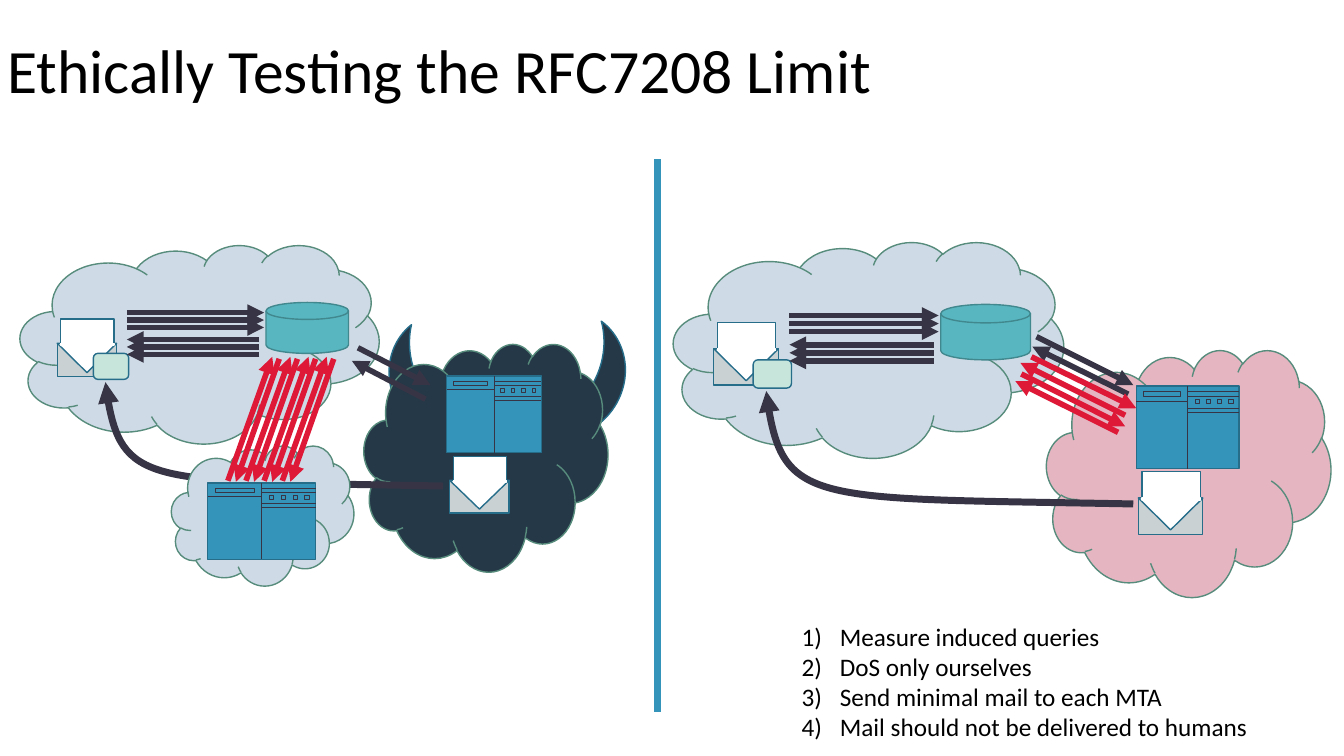
from dataclasses import dataclass

import pptx
import pptx.dml.color
import pptx.enum.shapes
import pptx.enum.text
import pptx.oxml.ns
import pptx.util
from lxml import etree

Inches = pptx.util.Inches
Pt = pptx.util.Pt
KIND = pptx.enum.shapes.MSO_SHAPE
qn = pptx.oxml.ns.qn

COLORS = {
    "text": "000000", "ink": "373545", "attack": "DE1938", "accent": "3494BA",
    "edge": "266D8A", "cloud_edge": "578C7C", "network": "CEDBE6",
    "evil": "253848", "ourselves": "E5B6C2", "envelope": "CAD1D2",
    "paper": "FFFFFF", "badge": "C8E5DC", "resolver": "58B6C0",
    "resolver_edge": "41878E",
}


def color(name):
    return pptx.dml.color.RGBColor.from_string(COLORS[name])


@dataclass
class Box:
    """An origin in inches and the length of one local unit each way."""
    left: float
    top: float
    x_unit: float = 1
    y_unit: float = 1

    def point(self, x, y):
        return Inches(self.left + x * self.x_unit), Inches(self.top + y * self.y_unit)

    def inner(self, x, y, width, height):
        return Box(self.left + x * self.x_unit, self.top + y * self.y_unit,
                   width * self.x_unit, height * self.y_unit)


# Drawing helpers
def draw(shapes, kind, box, fill, edge="edge", width=1, rotation=0):
    shape = shapes.add_shape(kind, *box.point(0, 0), Inches(box.x_unit), Inches(box.y_unit))
    shape.shadow.inherit = False
    shape.fill.solid()
    shape.fill.fore_color.rgb = color(fill)
    shape.line.color.rgb = color(edge)
    shape.line.width = Pt(width)
    shape.rotation = rotation


def style_line(line, name, width, arrow):
    line.color.rgb = color(name)
    line.width = Pt(width)
    if arrow:
        etree.SubElement(line._get_or_add_ln(), qn("a:tailEnd"), type="triangle")


def connect(shapes, box, start, end, name="ink", width=4, arrow=True):
    connector = shapes.add_connector(pptx.enum.shapes.MSO_CONNECTOR.STRAIGHT,
                                     *box.point(*start), *box.point(*end))
    style_line(connector.line, name, width, arrow)
    etree.SubElement(connector._element.spPr, qn("a:effectLst"))


def draw_mail_route(shapes, box):
    """Curved arrow from the sender's mail to the receiving mail server."""
    start, *others = [box.point(*p) for p in
                      [(4.56, 2.6), (1.48, 2.54), (1.05, 2.63), (0.92, 1.48)]]
    builder = shapes.build_freeform(*start)
    builder.add_line_segments(others, close=False)
    route = builder.convert_to_shape()
    segments = list(route._element.iter(qn("a:lnTo")))
    curve = etree.SubElement(segments[0].getparent(), qn("a:cubicBezTo"))
    for segment in segments:
        curve.append(segment[0])
        segment.getparent().remove(segment)
    route.shadow.inherit = False
    route.fill.background()
    style_line(route.line, "ink", 5, True)


# Pictograms, in fractions of their box
def draw_envelope(shapes, box):
    draw(shapes, KIND.RECTANGLE, box.inner(0, 0.42, 1, 0.58), "envelope")
    draw(shapes, KIND.ISOSCELES_TRIANGLE, box.inner(0, 0.42, 1, 0.51), "paper", rotation=180)
    draw(shapes, KIND.RECTANGLE, box.inner(0.06, 0, 0.9, 0.43), "paper")
    draw(shapes, KIND.RECTANGLE, box.inner(0.06, 0.42, 0.9, 0.03), "paper", "paper")


def draw_server(shapes, box):
    draw(shapes, KIND.RECTANGLE, box, "accent")
    seams = [((0.5, 0), (0.5, 1)), ((0, 0.18), (0.5, 0.18))]
    seams += [((0.5, y), (1, y)) for y in (0.07, 0.12, 0.27, 0.32)]
    for start, end in seams:
        connect(shapes, box, start, end, width=0.5, arrow=False)
    slots = [(0.07, 0.07, 0.36, 0.05)]
    slots += [(0.57 + 0.11 * i, 0.16, 0.04, 0.05) for i in range(4)]
    for slot in slots:
        draw(shapes, KIND.RECTANGLE, box.inner(*slot), "accent", "ink", 0.5)


def draw_receiver(shapes, box):
    """Cloud holding the mail server, its resolver and the lookups between them."""
    draw(shapes, KIND.CLOUD, box.inner(0, 0, 3.87, 2.14), "network", "cloud_edge")
    draw_envelope(shapes, box.inner(0.4, 0.8, 0.64, 0.62))
    draw(shapes, KIND.ROUNDED_RECTANGLE, box.inner(0.79, 1.17, 0.38, 0.28), "badge")
    draw(shapes, KIND.FLOWCHART_MAGNETIC_DISK, box.inner(2.65, 0.62, 0.89, 0.55),
         "resolver", "resolver_edge")
    for i in range(3):
        query, reply = 0.73 + 0.08 * i, 1.02 + 0.08 * i
        connect(shapes, box, (1.15, query), (2.63, query))
        connect(shapes, box, (2.58, reply), (1.15, reply))


# The two halves, in inches from the corner of each half
def draw_attack(shapes, box):
    receiver = box.inner(0, 0, 0.92, 0.92)
    draw_receiver(shapes, receiver)
    for horn_left, horn_top, angle in [(3.74, 0.84, 321.7), (5.32, 0.81, 216.3)]:
        draw(shapes, KIND.MOON, box.inner(horn_left, horn_top, 0.61, 1.3), "evil",
             rotation=angle)
    draw(shapes, KIND.CLOUD, box.inner(3.41, 0.98, 2.42, 2.26), "evil", "cloud_edge")
    draw_mail_route(shapes, receiver)
    connect(shapes, box, (3.35, 1.02), (4.07, 1.39))
    connect(shapes, box, (4.02, 1.53), (3.29, 1.15))
    draw(shapes, KIND.CLOUD, box.inner(1.5, 1.99, 1.81, 1.39), "network", "cloud_edge")
    draw_envelope(shapes, box.inner(4.26, 2.1, 0.59, 0.56))
    draw_server(shapes, box.inner(4.23, 1.3, 0.94, 0.76))
    # Flood of queries and replies at the third party
    for i in range(4):
        shift = 0.18 * i
        connect(shapes, box, (3.11 - shift, 1.13), (2.68 - shift, 2.35), "attack")
        connect(shapes, box, (2.6 - shift, 2.34), (3.04 - shift, 1.11), "attack")
    draw_server(shapes, box.inner(1.86, 2.36, 1.07, 0.76))


def draw_ethical_test(shapes, box):
    draw(shapes, KIND.CLOUD, box.inner(3.7, 1.07, 2.82, 2.45), "ourselves", "cloud_edge")
    draw_receiver(shapes, box)
    draw_mail_route(shapes, box)
    lookups = [
        ((3.6, 0.94), (4.56, 1.42), "ink"), ((4.51, 1.51), (3.56, 1.04), "ink"),
        ((3.55, 1.14), (4.59, 1.65), "attack"), ((4.48, 1.72), (3.44, 1.2), "attack"),
        ((3.45, 1.31), (4.48, 1.83), "attack"), ((4.41, 1.89), (3.39, 1.38), "attack"),
    ]
    for start, end, name in lookups:
        connect(shapes, box, start, end, name)
    draw_envelope(shapes, box.inner(4.61, 2.28, 0.64, 0.62))
    draw_server(shapes, box.inner(4.59, 1.43, 1.02, 0.82))


# Text
def place(holder, box):
    holder.left, holder.top = box.point(0, 0)
    holder.width, holder.height = Inches(box.x_unit), Inches(box.y_unit)


def add_text(paragraph, text, size):
    paragraph.alignment = pptx.enum.text.PP_ALIGN.LEFT
    paragraph.space_before = Pt(0)
    run = paragraph.add_run()
    run.text = text
    run.font.name = "Calibri"
    run.font.size = Pt(size)
    run.font.color.rgb = color("text")


def write_title(title, box):
    place(title, box)
    title.text_frame.vertical_anchor = pptx.enum.text.MSO_ANCHOR.MIDDLE
    heading = title.text_frame.paragraphs[0]
    heading.line_spacing = 0.9
    add_text(heading, "Ethically Testing the RFC7208 Limit", 44)


def write_rules(body, box):
    place(body, box)
    frame = body.text_frame
    frame.word_wrap = False
    frame.auto_size = pptx.enum.text.MSO_AUTO_SIZE.SHAPE_TO_FIT_TEXT
    rules = ["Measure induced queries", "DoS only ourselves",
             "Send minimal mail to each MTA", "Mail should not be delivered to humans"]
    for i, rule in enumerate(rules):
        paragraph = frame.add_paragraph() if i else frame.paragraphs[0]
        properties = paragraph._p.get_or_add_pPr()
        properties.set("marL", str(Inches(0.38)))
        properties.set("indent", str(-Inches(0.38)))
        etree.SubElement(properties, qn("a:buFont"), typeface="+mj-lt")
        etree.SubElement(properties, qn("a:buAutoNum"), type="arabicParenR")
        add_text(paragraph, rule, 18)


def main():
    deck = pptx.Presentation()
    deck.slide_width, deck.slide_height = Inches(13.33), Inches(7.5)
    slide = deck.slides.add_slide(deck.slide_layouts[1])
    write_title(slide.shapes.title, Box(-0.03, 0, 11.5, 1.45))
    draw_ethical_test(slide.shapes.add_group_shape().shapes, Box(6.68, 2.4))
    draw_attack(slide.shapes.add_group_shape().shapes, Box(0.2, 2.43))
    # Divider between the halves
    connect(slide.shapes, Box(6.52, 1.58), (0, 0), (0, 5.48), "accent", 5, False)
    write_rules(slide.placeholders[1], Box(7.85, 6.11, 4.67, 1.31))
    deck.save("out.pptx")


if __name__ == "__main__":
    main()
